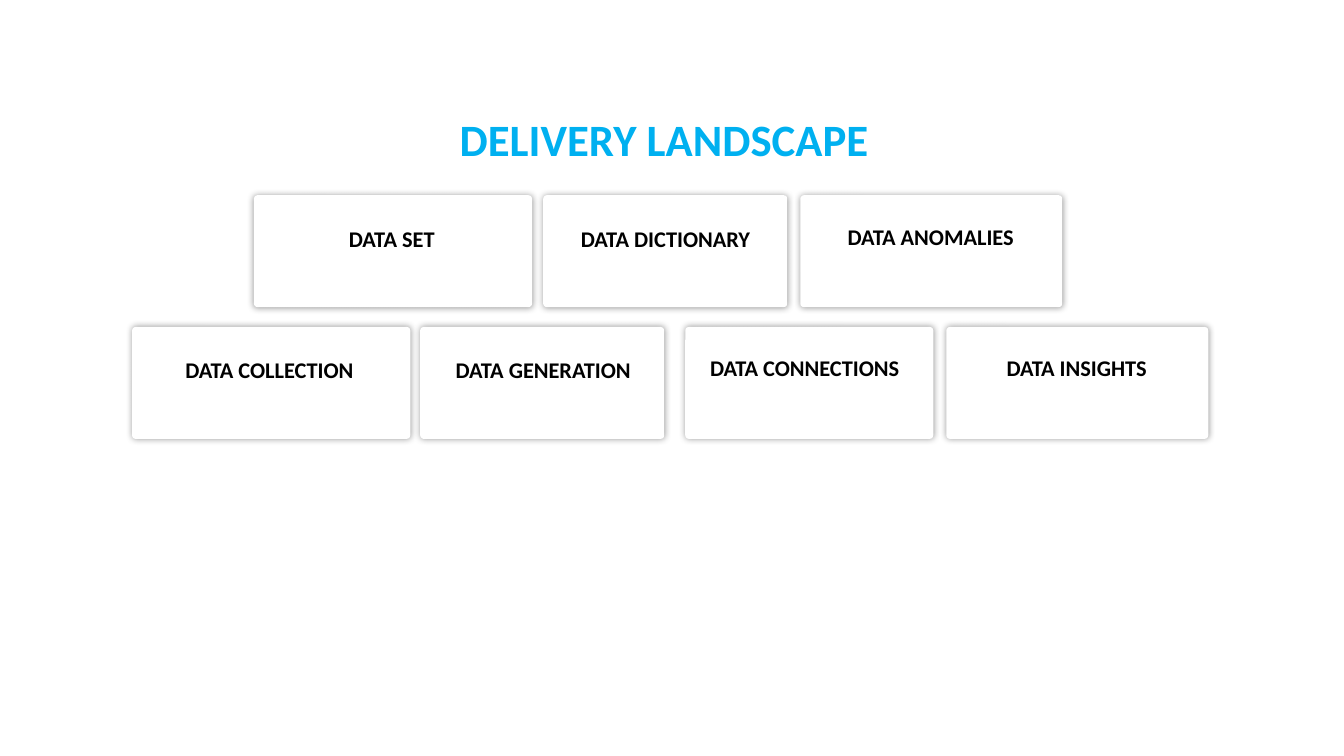
import pptx
import pptx.dml.color
import pptx.enum.shapes
import pptx.enum.text
import pptx.oxml
import pptx.oxml.ns
import pptx.util
from pptx.util import Cm

WHITE = pptx.dml.color.RGBColor(0xFF, 0xFF, 0xFF)
BLACK = pptx.dml.color.RGBColor(0x00, 0x00, 0x00)
SKY_BLUE = pptx.dml.color.RGBColor(0x00, 0xB0, 0xF0)

FONT = "Calibri"
CARD_HEIGHT = Cm(2.82)
CARD_RADIUS = Cm(0.09)
LABEL_HEIGHT = Cm(0.94)

# Each card: label, card left and width, label left, top and width, in cm.
ROWS = [
    (4.92, [
        ("DATA SET", 6.4, 7.01, 8.53, 5.54, 2.69),
        ("DATA DICTIONARY", 13.69, 6.15, 14.35, 5.54, 4.85),
        ("DATA ANOMALIES", 20.17, 6.6, 19.76, 5.51, 7.39),
    ]),
    (8.24, [
        ("DATA COLLECTION", 3.33, 7.01, 4.39, 8.86, 4.8),
        ("DATA GENERATION", 10.59, 6.15, 11.2, 8.86, 4.98),
        ("DATA CONNECTIONS", 17.27, 6.25, 17.6, 8.79, 5.36),
        ("DATA INSIGHTS", 23.85, 6.6, 23.44, 8.81, 7.39),
    ]),
]

SHADOW = (
    f'<a:effectLst {pptx.oxml.ns.nsdecls("a")}>'
    '<a:outerShdw blurRad="63500" dist="0" algn="ctr" rotWithShape="0">'
    '<a:srgbClr val="000000"><a:alpha val="40000"/></a:srgbClr>'
    '</a:outerShdw></a:effectLst>'
)


def write_centred(frame, text, size, color):
    """Write one bold centred line into a text frame."""
    para = frame.paragraphs[0]
    para.alignment = pptx.enum.text.PP_ALIGN.CENTER
    span = para.add_run()
    span.text = text
    span.font.name = FONT
    span.font.size = pptx.util.Pt(size)
    span.font.bold = True
    span.font.color.rgb = color
    return para


def set_title(page, text):
    """Place and fill the title placeholder."""
    title = page.shapes.title
    title.left, title.top = Cm(10.21), Cm(2.64)
    title.width, title.height = Cm(13.06), Cm(1.88)
    frame = title.text_frame
    frame.vertical_anchor = pptx.enum.text.MSO_ANCHOR.MIDDLE
    frame.auto_size = pptx.enum.text.MSO_AUTO_SIZE.NONE
    para = write_centred(frame, text, 32, SKY_BLUE)
    para.line_spacing = 0.9


def add_card(page, left, top, width):
    """Add a white rounded card with a soft shadow."""
    card = page.shapes.add_shape(
        pptx.enum.shapes.MSO_SHAPE.ROUNDED_RECTANGLE,
        left, top, width, CARD_HEIGHT)
    card.adjustments[0] = CARD_RADIUS / CARD_HEIGHT
    card.fill.solid()
    card.fill.fore_color.rgb = WHITE
    card.line.fill.background()
    card._element.spPr.append(pptx.oxml.parse_xml(SHADOW))


def add_label(page, text, left, top, width):
    """Add the one-line label of a card."""
    box = page.shapes.add_textbox(left, top, width, LABEL_HEIGHT)
    frame = box.text_frame
    frame.word_wrap = False
    frame.auto_size = pptx.enum.text.MSO_AUTO_SIZE.SHAPE_TO_FIT_TEXT
    write_centred(frame, text, 16, BLACK)


def main():
    """Build the delivery landscape slide."""
    deck = pptx.Presentation()
    deck.slide_width, deck.slide_height = Cm(33.87), Cm(19.05)
    page = deck.slides.add_slide(deck.slide_layouts.get_by_name("Title Only"))
    set_title(page, "DELIVERY LANDSCAPE")
    for card_top, cards in ROWS:
        for text, left, width, label_left, label_top, label_width in cards:
            add_card(page, Cm(left), Cm(card_top), Cm(width))
            add_label(page, text, Cm(label_left), Cm(label_top), Cm(label_width))
    deck.save("out.pptx")


if __name__ == "__main__":
    main()
